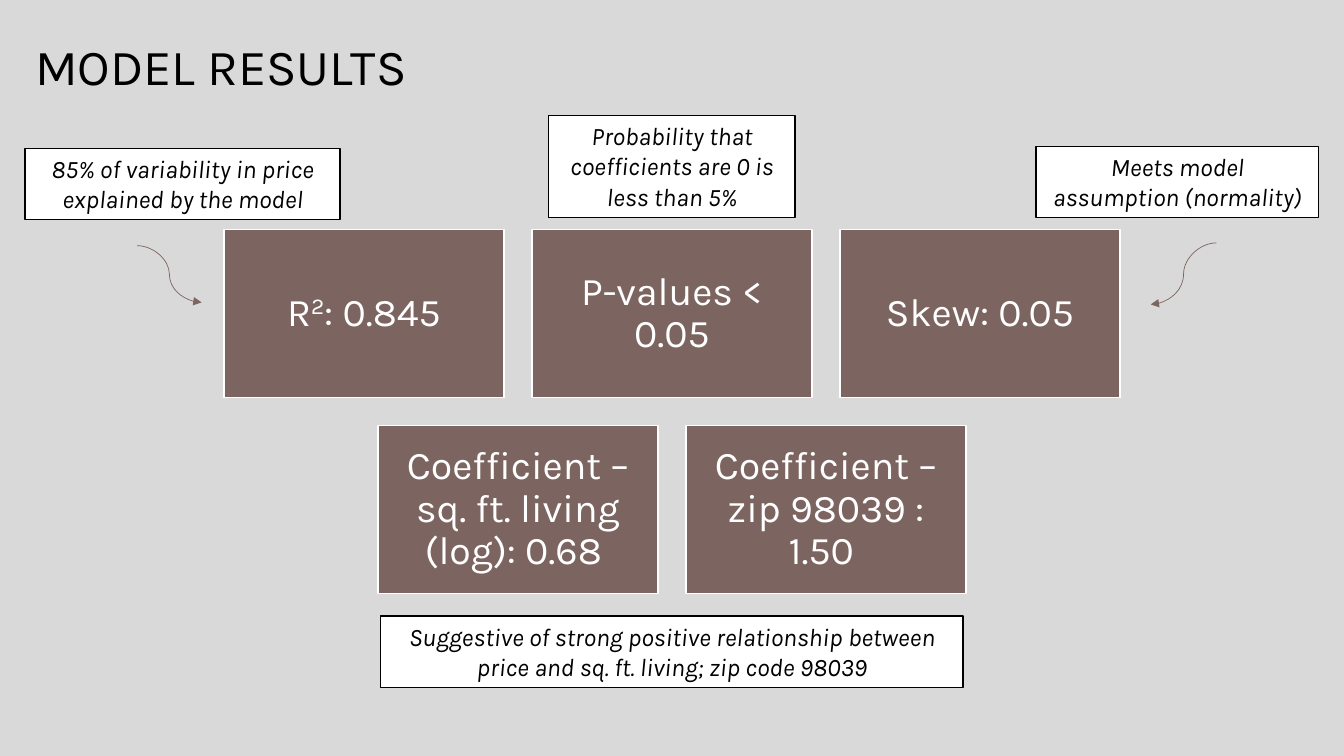
from lxml import etree
from pptx import Presentation
from pptx import util as u
from pptx.dml.color import RGBColor
from pptx.enum import shapes, text
from pptx.oxml.ns import qn

COLORS = {"page": "D9D9D9", "card": "7C6560", "white": "FFFFFF", "black": "000000"}


def color(name):
    return RGBColor.from_string(COLORS[name])


def write(box, content, size=18, ink="black", font="Karla", italic=False,
          align=text.PP_ALIGN.CENTER, anchor=text.MSO_ANCHOR.TOP,
          spacing=1.0, inset=None, grow=False):
    """Fill a box with one paragraph; parts between ^ marks are superscript."""
    frame = box.text_frame
    frame.word_wrap = True
    frame.vertical_anchor = anchor
    frame.auto_size = (text.MSO_AUTO_SIZE.SHAPE_TO_FIT_TEXT if grow
                       else text.MSO_AUTO_SIZE.NONE)
    if inset is not None:
        frame.margin_left = frame.margin_right = u.Pt(inset)
        frame.margin_top = frame.margin_bottom = u.Pt(inset)
    para = frame.paragraphs[0]
    para.alignment = align
    para.line_spacing = spacing
    for index, part in enumerate(content.split("^")):
        span = para.add_run()
        span.text = part
        span.font.size = u.Pt(size)
        span.font.name = font
        span.font.italic = italic
        span.font.color.rgb = color(ink)
        if index % 2:
            span.font._element.set("baseline", "30000")


class Slide:
    def __init__(self, deck):
        self.page = deck.slides.add_slide(deck.slide_layouts[6])
        background = self.page.background.fill
        background.solid()
        background.fore_color.rgb = color("page")

    def title(self, content, *place):
        box = self.page.shapes.add_textbox(*map(u.Pt, place))
        write(box, content, size=36, align=text.PP_ALIGN.LEFT,
              anchor=text.MSO_ANCHOR.BOTTOM, spacing=u.Pt(40))

    def rectangle(self, place, fill, line):
        box = self.page.shapes.add_shape(shapes.MSO_SHAPE.RECTANGLE, *map(u.Pt, place))
        box.shadow.inherit = False
        box.fill.solid()
        box.fill.fore_color.rgb = color(fill)
        box.line.color.rgb = color(line)
        box.line.width = u.Pt(1)
        return box

    def card(self, content, *place):
        box = self.rectangle(place, "card", "white")
        write(box, content, size=28, ink="white", anchor=text.MSO_ANCHOR.MIDDLE,
              spacing=0.9, inset=8.4)

    def note(self, content, *place):
        box = self.rectangle(place, "white", "black")
        write(box, content, italic=True, grow=True)

    def arrow(self, *ends):
        curve = self.page.shapes.add_connector(shapes.MSO_CONNECTOR.CURVE, *map(u.Pt, ends))
        curve.line.color.rgb = color("card")
        curve.line.width = u.Pt(0.5)
        etree.SubElement(curve.line._get_or_add_ln(), qn("a:tailEnd"), type="triangle")
        etree.SubElement(curve._element.spPr, qn("a:effectLst"))


def main():
    deck = Presentation()
    deck.slide_width, deck.slide_height = u.Pt(960), u.Pt(540)
    slide = Slide(deck)
    slide.title("MODEL RESULTS", 18, 14.4, 412, 57.6)

    # Result cards: rows centred on the page
    rows = [
        ["R^2^: 0.845", "P-values < 0.05", "Skew: 0.05"],
        ["Coefficient – sq. ft. living (log): 0.68 ", "Coefficient – zip 98039 : 1.50 "],
    ]
    width, height, gap = 200, 120, 20
    for row, results in enumerate(rows):
        left = (960 + gap - len(results) * (width + gap)) / 2
        top = 164 + row * (height + gap)
        for column, result in enumerate(results):
            slide.card(result, left + column * (width + gap), top, width, height)

    # Arrows from the outer notes to the cards
    slide.arrow(98, 175.5, 144, 216)
    slide.arrow(869, 173.5, 822, 217.5)

    # Explanatory notes
    slide.note("85% of variability in price explained by the model", 18, 106, 225, 51)
    slide.note("Meets model assumption (normality)", 740, 104.5, 202, 51)
    slide.note("Probability that coefficients are 0 is less than 5%", 392, 82.5, 176, 72.7)
    slide.note("Suggestive of strong positive relationship between price and sq. ft. living; "
               "zip code 98039", 272, 440, 416, 51)

    deck.save("out.pptx")


if __name__ == "__main__":
    main()
